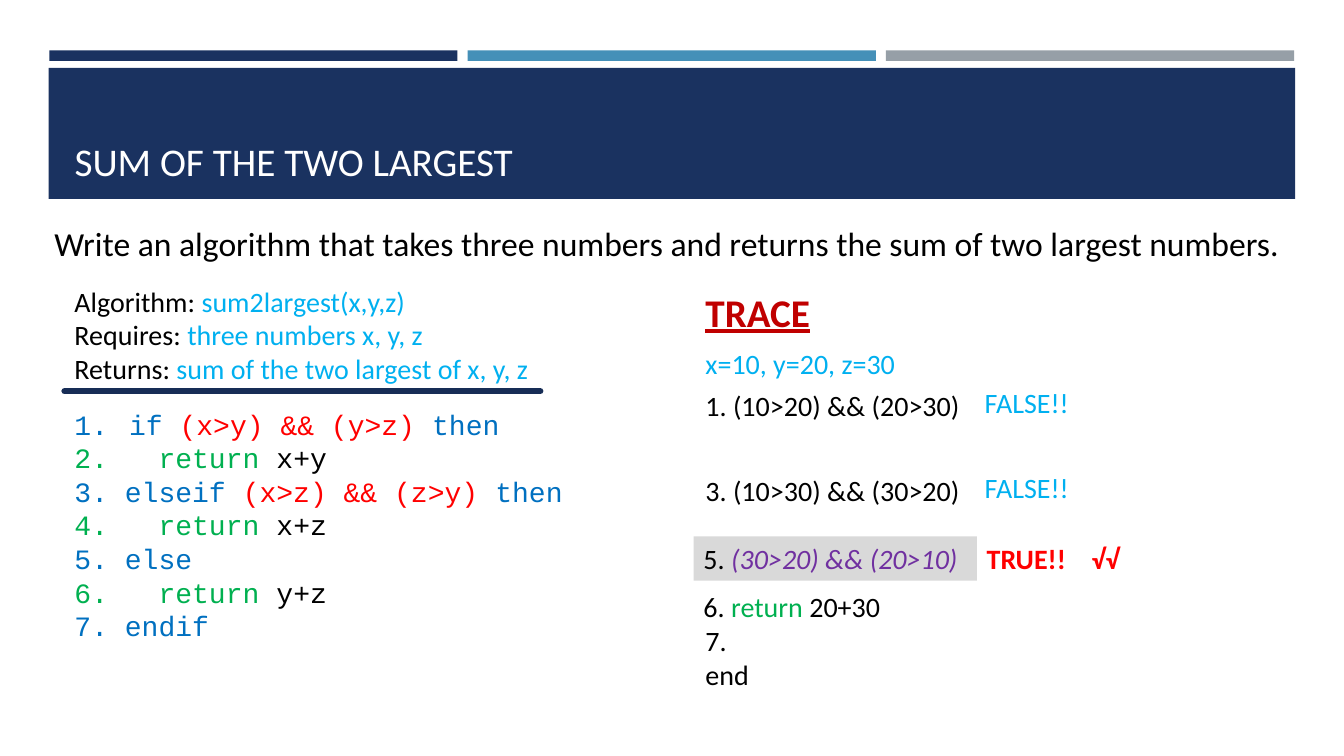
from lxml import etree
from pptx import Presentation
from pptx.dml.color import RGBColor
from pptx.enum import shapes, text
from pptx.oxml.ns import qn
from pptx.util import Pt

NAVY = RGBColor(0x1A, 0x32, 0x60)
RULE_NAVY = RGBColor(0x17, 0x2D, 0x56)
STEEL = RGBColor(0x45, 0x90, 0xB8)
GRAY = RGBColor(0x96, 0x9F, 0xA7)
PALE = RGBColor(0xD9, 0xD9, 0xD9)
WHITE = RGBColor(0xFF, 0xFF, 0xFF)
BLACK = RGBColor(0, 0, 0)
SKY = RGBColor(0, 0xB0, 0xF0)
BLUE = RGBColor(0, 0x70, 0xC0)
GREEN = RGBColor(0, 0xB0, 0x50)
RED = RGBColor(0xFF, 0, 0)
DARK_RED = RGBColor(0xC0, 0, 0)
PURPLE = RGBColor(0x70, 0x30, 0xA0)

HEADING = "SUM OF THE TWO LARGEST"
TASK = "Write an algorithm that takes three numbers and returns the sum of two largest numbers."
SIGNATURE = [
    [("Algorithm: ", BLACK), ("sum2largest(x,y,z)", SKY)],
    [("Requires: ", BLACK), ("three numbers x, y, z", SKY)],
    [("Returns: ", BLACK), ("sum of the two largest of x, y, z", SKY)],
]
CODE = [
    [(" if ", BLUE), ("(x>y) && (y>z) ", RED), ("then", BLUE)],
    [("2.   return ", GREEN), ("x+y", BLACK)],
    [("3. elseif ", BLUE), ("(x>z) && (z>y) ", RED), ("then", BLUE)],
    [("4.   return ", GREEN), ("x+z ", BLACK)],
    [("5. else", BLUE)],
    [("6.   return ", GREEN), ("y+z", BLACK)],
    [("7. endif", BLUE)],
]
TRUE_STEP = [[("5. ", BLACK), ("(30>20) && (20>10)", PURPLE, True)]]
RETURN_STEP = [[("6. ", BLACK), ("return", GREEN), (" 20+30", BLACK)]]

TRACE_LEFT, VERDICT_LEFT = 496.8, 696.3
TRACE = [
    ("x=10, y=20, z=30", (TRACE_LEFT, 244, 154, 31.5), {"color": SKY}),
    ("1. (10>20) && (20>30)", (TRACE_LEFT, 273.6, 199.6, 31.5), {}),
    ("FALSE!!", (VERDICT_LEFT, 271.5, 76.5, 31.5), {"color": SKY}),
    ("3. (10>30) && (30>20)", (TRACE_LEFT, 334.9, 199.6, 31.5), {}),
    ("FALSE!!", (VERDICT_LEFT, 332.7, 76.5, 31.5), {"color": SKY}),
    (TRUE_STEP, (495.4, 383.2, 202.3, 31.5), {"fill": PALE}),
    ("TRUE!!", (697.7, 383.2, 82.8, 31.5), {"color": RED, "bold": True}),
    ("√√", (772.6, 383.2, 37, 31.5), {"color": RED, "bold": True}),
    (RETURN_STEP, (495.4, 417.6, 142.6, 31.5), {}),
    ("7. end", (TRACE_LEFT, 442.1, 62.6, 31.5), {}),
]

deck = Presentation()
deck.slide_width, deck.slide_height = Pt(960), Pt(540)
slide = deck.slides.add_slide(deck.slide_layouts[5])


def band(left, top, width, height, color):
    bar = slide.shapes.add_shape(shapes.MSO_SHAPE.RECTANGLE, Pt(left), Pt(top), Pt(width), Pt(height))
    bar.shadow.inherit = False
    bar.fill.solid()
    bar.fill.fore_color.rgb = color
    bar.line.fill.background()


def write(content, box, holder=None, size=20, font="Calibri", color=BLACK, bold=False,
          underline=False, fill=None, anchor=text.MSO_ANCHOR.TOP):
    left, top, width, height = map(Pt, box)
    holder = holder or slide.shapes.add_textbox(left, top, width, height)
    holder.left, holder.top, holder.width, holder.height = left, top, width, height
    if fill is not None:
        holder.fill.solid()
        holder.fill.fore_color.rgb = fill
    frame = holder.text_frame
    frame.word_wrap = True
    frame.auto_size = text.MSO_AUTO_SIZE.NONE
    frame.vertical_anchor = anchor
    lines = [[(content, color)]] if isinstance(content, str) else content
    for number, pieces in enumerate(lines):
        line = frame.add_paragraph() if number else frame.paragraphs[0]
        line.alignment = text.PP_ALIGN.LEFT
        for words, ink, *italic in pieces:
            run = line.add_run()
            run.text = words
            run.font.name, run.font.size = font, Pt(size)
            run.font.bold, run.font.italic = bold, bool(italic)
            run.font.underline = underline
            run.font.color.rgb = ink
    return holder


for column, color in enumerate((NAVY, STEEL, GRAY)):
    band(35.2 + column * 298.8, 36, 291.6, 7.5, color)
band(34.8, 48.5, 890.4, 93.6, NAVY)

title = slide.shapes.title
slide.shapes._spTree.append(title._element)
write(HEADING, (46.1, 55.4, 868.3, 79.9), holder=title, size=28, color=WHITE,
      anchor=text.MSO_ANCHOR.BOTTOM)
write(TASK, (31.7, 155.5, 896.4, 36.4), size=24)
write(SIGNATURE, (46.1, 199.4, 339.8, 80))

rule = slide.shapes.add_connector(shapes.MSO_CONNECTOR.STRAIGHT, Pt(46.1), Pt(279.4), Pt(385.9), Pt(279.4))
rule.line.color.rgb = RULE_NAVY
rule.line.width = Pt(4.5)
rule.line._get_or_add_ln().set("cap", "rnd")
etree.SubElement(rule._element.spPr, qn("a:effectLst"))

code = write(CODE, (46.1, 287.3, 365.8, 177), font="Courier New")
first_step = code.text_frame.paragraphs[0]._p.get_or_add_pPr()
first_step.set("marL", str(Pt(27)))
first_step.set("indent", str(-Pt(27)))
etree.SubElement(first_step, qn("a:buFont"), typeface="Courier New")
etree.SubElement(first_step, qn("a:buAutoNum"), type="arabicPeriod")

write("TRACE", (TRACE_LEFT, 202.3, 114.5, 41), size=28, color=DARK_RED, bold=True, underline=True)
for step, box, style in TRACE:
    write(step, box, **style)

deck.save("out.pptx")
